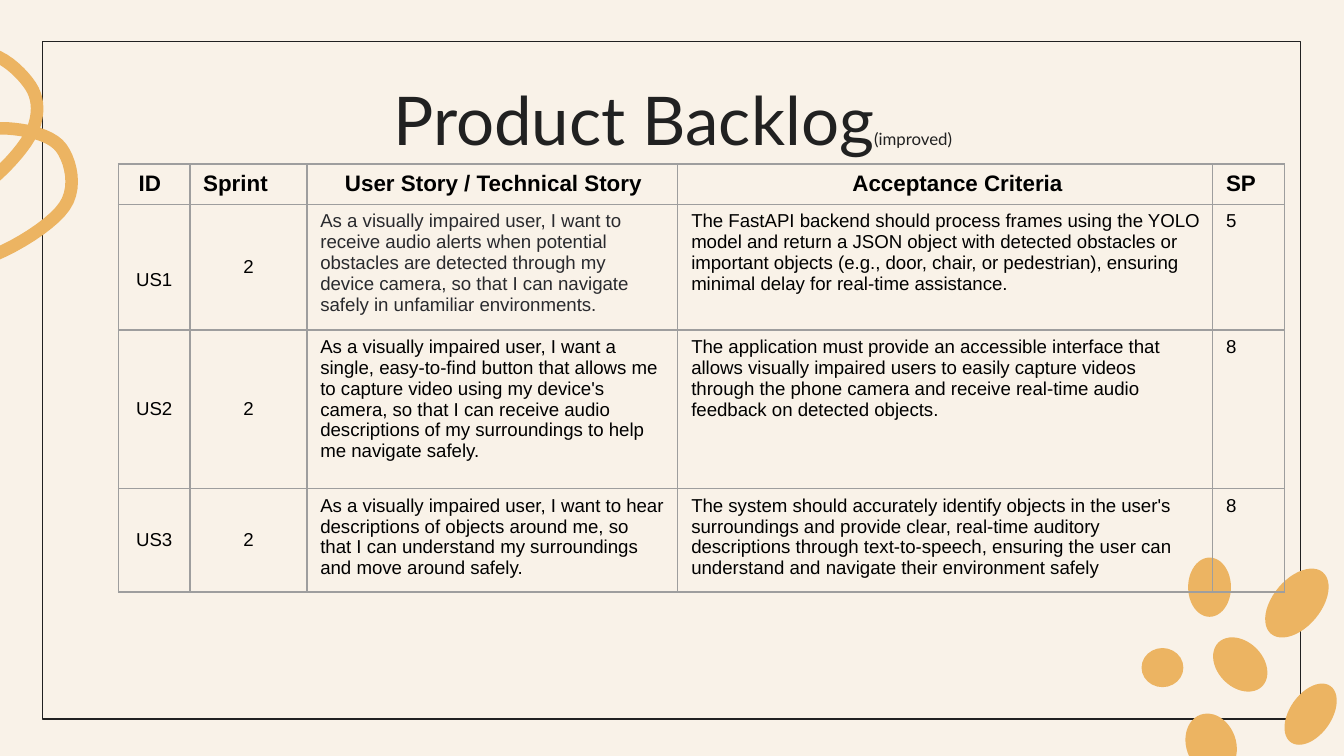
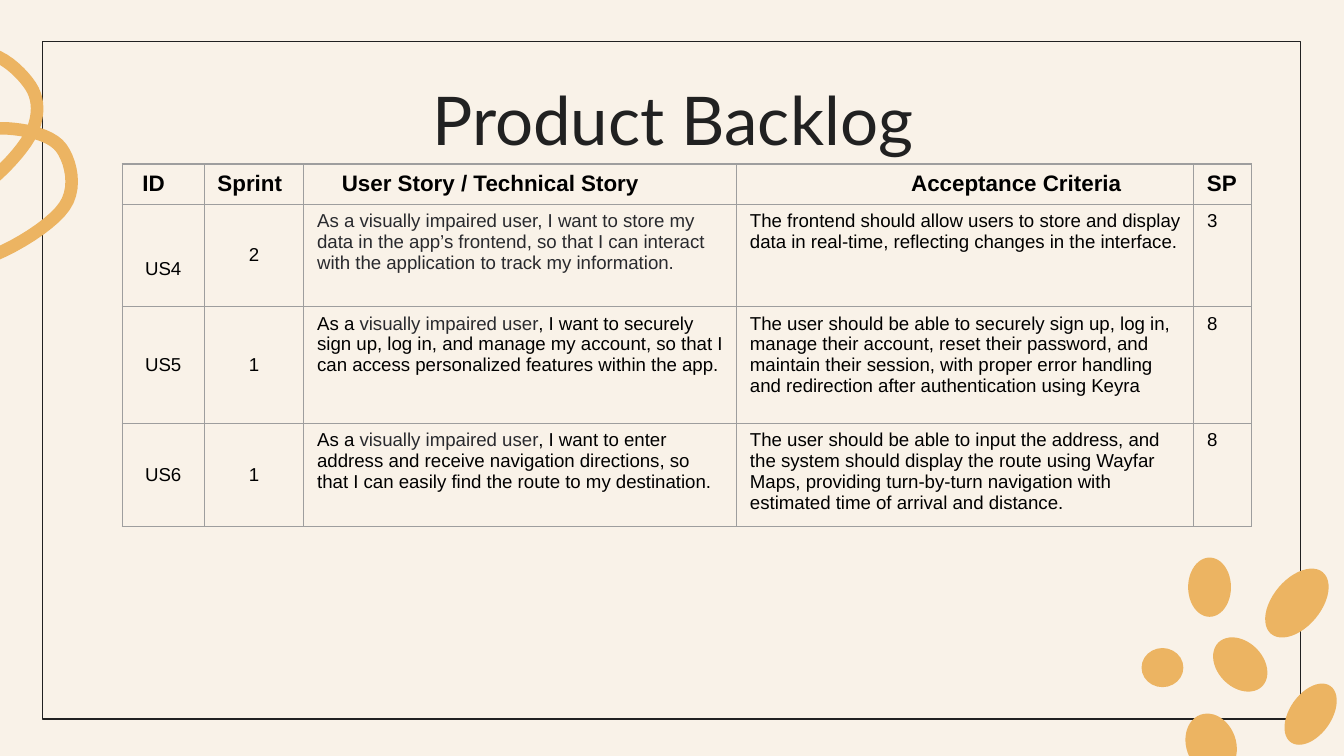
from collections import namedtuple
from dataclasses import dataclass

from lxml import etree
from pptx import Presentation
from pptx import util as u
from pptx.dml.color import RGBColor
from pptx.enum import shapes, text
from pptx.oxml import ns

Box = namedtuple("Box", "x y w h")


@dataclass(frozen=True)
class Theme:
    paper: str = "F9F2E8"
    ink: str = "212121"
    gold: str = "ECB462"
    black: str = "000000"
    soft: str = "292A2E"
    grid: str = "9E9E9E"
    title: str = "Lato"
    body: str = "Arial"
    big: float = 36
    note: float = 9
    head: float = 12
    small: float = 10
    rule: float = 0.75
    loop: float = 6.75


T = Theme()
PAGE = Box(0, 0, 25.4, 14.29)
FRAME = Box(0.81, 0.79, 23.77, 12.8)
TITLE = Box(2.01, 1.24, 21.41, 1.85)
HEADS = ["ID", "Sprint", "User Story / Technical Story", "Acceptance Criteria", "SP"]
INSETS = [0.38, 0.25, 0.72, 3.3, 0.25]
DROP = 0.63  # top margin that lowers the first ID

# Points the loop runs through.
LOOP = [(-2.6, 4.1), (-2.3, 2.8), (-1.75, 1.8), (-0.38, 1), (0.58, 1.63),
        (0.6, 2.5), (-0.23, 3.45), (-0.94, 3.62), (-1.53, 3.2), (-1.12, 2.65),
        (0.15, 2.43), (1.16, 2.8), (1.22, 3.9), (-0.3, 4.9), (-2.36, 5.22)]
# Centre, width, height and turn of each spot.
SPOTS = [(24.51, 11.4, 0.91, 1.52, 40), (22.86, 11.1, 0.81, 1.12, 0),
         (23.44, 12.56, 0.86, 1.17, -45), (21.97, 12.62, 0.79, 0.74, 0),
         (22.89, 14.07, 0.94, 1.19, -20), (24.77, 13.5, 0.79, 1.3, 35)]

# Text between asterisks takes the soft colour.
DECK = [
    dict(note="(improved)", spot=(2.24, 3.1),
         cols=[1.35, 2.21, 7.01, 10.11, 1.35], tall=[0.74, 2.21, 3, 1.83],
         rows=[
             ["US1", "2", "*As a visually impaired user, I want to receive audio alerts when potential obstacles are detected through my device camera, so that I can navigate safely in unfamiliar environments.*",
              "The FastAPI backend should process frames using the YOLO model and return a JSON object with detected obstacles or important objects (e.g., door, chair, or pedestrian), ensuring minimal delay for real-time assistance.", "5"],
             ["US2", "2", "As a visually impaired user, I want a single, easy-to-find button that allows me to capture video using my device's camera, so that I can receive audio descriptions of my surroundings to help me navigate safely.",
              "The application must provide an accessible interface that allows visually impaired users to easily capture videos through the phone camera and receive real-time audio feedback on detected objects.", "8"],
             ["US3", "2", "As a visually impaired user, I want to hear descriptions of objects around me, so that I can understand my surroundings and move around safely.",
              "The system should accurately identify objects in the user's surroundings and provide clear, real-time auditory descriptions through text-to-speech, ensuring the user can understand and navigate their environment safely", "8"],
         ]),
    dict(note="", spot=(2.31, 3.1),
         cols=[1.55, 1.88, 8.18, 8.64, 1.09], tall=[0.74, 1.93, 2.21, 1.83],
         rows=[
             ["US4", "2", "*As a visually impaired user, I want to store my data in the app’s frontend, so that I can interact with the application to track my information.*",
              "The frontend should allow users to store and display data in real-time, reflecting changes in the interface.", "3"],
             ["US5", "1", "As a *visually impaired user*, I want to securely sign up, log in, and manage my account, so that I can access personalized features within the app.",
              "The user should be able to securely sign up, log in, manage their account, reset their password, and maintain their session, with proper error handling and redirection after authentication using Keyra", "8"],
             ["US6", "1", "As a *visually impaired user*, I want to enter address and receive navigation directions, so that I can easily find the route to my destination.",
              "The user should be able to input the address, and the system should display the route using Wayfar Maps, providing turn-by-turn navigation with estimated time of arrival and distance.", "8"],
         ]),
]


def rgb(code):
    return RGBColor.from_string(code)


def put(item, **form):
    for key, value in form.items():
        setattr(item, key, value)


def write(para, words, code, **form):
    run = para.add_run()
    run.text = words
    put(run.font, **form)
    run.font.color.rgb = rgb(code)


def paint(shape, fill=None, line=None, width=0):
    shape.shadow.inherit = False
    for part, code in ((shape.fill, fill), (shape.line.fill, line)):
        if code:
            part.solid()
            part.fore_color.rgb = rgb(code)
        else:
            part.background()
    if line:
        shape.line.width = u.Pt(width)


def smooth(knots, count=10):
    """Give the points of a Catmull-Rom curve through the knots."""
    ends = [knots[0], *knots, knots[-1]]
    points = [knots[0]]
    for a, b, c, d in zip(ends, ends[1:], ends[2:], ends[3:]):
        for n in range(1, count + 1):
            t = n / count
            points.append(tuple(
                q + t / 2 * (r - p + t * (2 * p - 5 * q + 4 * r - s + t * (3 * (q - r) + s - p)))
                for p, q, r, s in zip(a, b, c, d)))
    return points


def loop(slide, box):
    first, *rest = [(u.Cm(x), u.Cm(y)) for x, y in smooth(LOOP)]
    pen = slide.shapes.build_freeform(*first)
    pen.add_line_segments(rest, close=False)
    paint(pen.convert_to_shape(u.Cm(box.x), u.Cm(box.y)), line=T.gold, width=T.loop)


def preset(slide, kind, box, **look):
    shape = slide.shapes.add_shape(kind, *map(u.Cm, box))
    paint(shape, **look)
    return shape


def decor(slide, box):
    """Draw the frame, the loop and the spots that every slide carries."""
    frame = FRAME._replace(x=box.x + FRAME.x, y=box.y + FRAME.y)
    preset(slide, shapes.MSO_SHAPE.RECTANGLE, frame, line=T.ink, width=T.rule)
    loop(slide, box)
    for x, y, wide, high, turn in SPOTS:
        area = Box(box.x + x - wide / 2, box.y + y - high / 2, wide, high)
        preset(slide, shapes.MSO_SHAPE.OVAL, area, fill=T.gold).rotation = turn


def title(slide, box, note):
    frame = slide.shapes.add_textbox(*map(u.Cm, box)).text_frame
    gap = u.Cm(0.25)
    put(frame, word_wrap=True, margin_left=gap, margin_right=gap,
        margin_top=gap, margin_bottom=gap)
    para = frame.paragraphs[0]
    para.alignment = text.PP_ALIGN.CENTER
    write(para, "Product Backlog", T.ink, name=T.title, size=u.Pt(T.big))
    if note:
        write(para, note, T.ink, name=T.title, size=u.Pt(T.note))


def edge(cell):
    """Give a cell its four grid lines and no fill."""
    props = cell._tc.get_or_add_tcPr()
    for side in "LRTB":
        line = etree.SubElement(props, ns.qn("a:ln" + side), w=str(u.Pt(T.rule)))
        paint = etree.SubElement(line, ns.qn("a:solidFill"))
        etree.SubElement(paint, ns.qn("a:srgbClr"), val=T.grid)
    cell.fill.background()


def fill(cell, words, row, col):
    para = cell.text_frame.paragraphs[0]
    head = row == 0
    if head:
        cell.margin_left = u.Cm(INSETS[col])
    elif col < 2:
        cell.vertical_anchor = text.MSO_ANCHOR.MIDDLE
        para.alignment = text.PP_ALIGN.CENTER
    if (row, col) == (1, 0):
        cell.margin_top = u.Cm(DROP)
    for i, part in enumerate(words.split("*")):
        if part:
            write(para, part, T.soft if i % 2 else T.black, name=T.body,
                  size=u.Pt(T.head if head else T.small), bold=head)


def backlog(slide, box, cols, tall, rows):
    grid = slide.shapes.add_table(len(tall), len(cols), *map(u.Cm, box)).table
    put(grid, first_row=False, horz_banding=False)
    for col, wide in zip(grid.columns, cols):
        col.width = u.Cm(wide)
    for row, high in zip(grid.rows, tall):
        row.height = u.Cm(high)
    for r, row in enumerate([HEADS, *rows]):
        for c, words in enumerate(row):
            cell = grid.cell(r, c)
            edge(cell)
            fill(cell, words, r, c)


def main():
    deck = Presentation()
    put(deck, slide_width=u.Cm(PAGE.w), slide_height=u.Cm(PAGE.h))
    back = deck.slide_master.background.fill
    back.solid()
    back.fore_color.rgb = rgb(T.paper)
    for page in DECK:
        slide = deck.slides.add_slide(deck.slide_layouts[6])
        decor(slide, PAGE)
        title(slide, TITLE, page["note"])
        cols, tall = page["cols"], page["tall"]
        backlog(slide, Box(*page["spot"], sum(cols), sum(tall)), cols, tall, page["rows"])
    deck.save("out.pptx")


if __name__ == "__main__":
    main()
